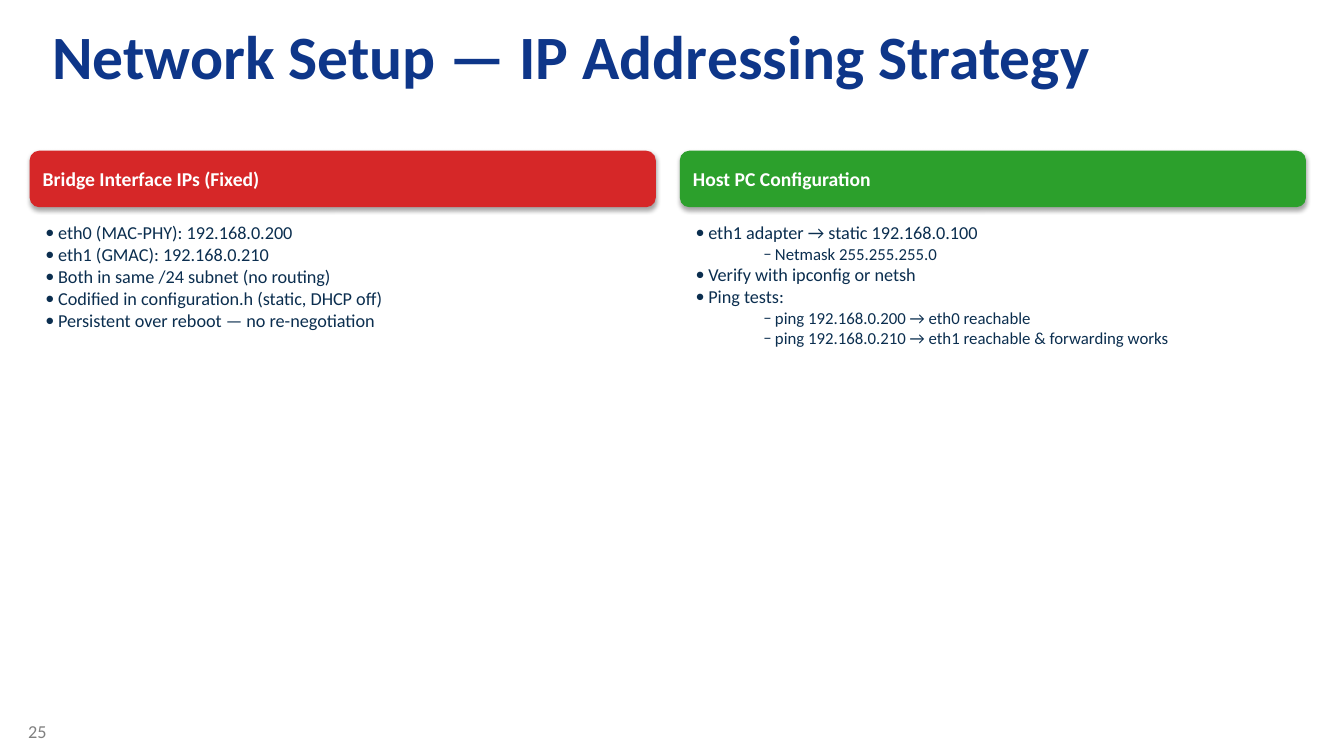
from lxml import etree
from pptx import Presentation
from pptx.dml.color import RGBColor
from pptx.enum import shapes, text
from pptx.oxml import ns
from pptx.util import Cm, Pt

SLIDE_WIDTH, SLIDE_HEIGHT = 33.86, 19.05
COLUMN_LEFT, COLUMN_PITCH = 0.76, 16.38
LIST_INSET = 0.13

# Marker, size in points, text indent and hanging indent in cm for each level
LEVELS = [("•", 13, 0.32, 0.32), ("–", 12, 2.0, 0.29)]

COLUMNS = [
    ("Bridge Interface IPs (Fixed)", "D62728", [
        (0, "eth0 (MAC-PHY): 192.168.0.200"),
        (0, "eth1 (GMAC): 192.168.0.210"),
        (0, "Both in same /24 subnet (no routing)"),
        (0, "Codified in configuration.h (static, DHCP off)"),
        (0, "Persistent over reboot — no re-negotiation"),
    ]),
    ("Host PC Configuration", "2CA02C", [
        (0, "eth1 adapter → static 192.168.0.100"),
        (1, "Netmask 255.255.255.0"),
        (0, "Verify with ipconfig or netsh"),
        (0, "Ping tests:"),
        (1, "ping 192.168.0.200 → eth0 reachable"),
        (1, "ping 192.168.0.210 → eth1 reachable & forwarding works"),
    ]),
]


def rgb(hex_code):
    return RGBColor.from_string(hex_code)


def add_xml(parent, tag, **attributes):
    return etree.SubElement(parent, ns.qn(tag), attributes)


class SlideBuilder:
    """Holds the text style and the slide being filled."""

    font_name = "Calibri"
    title_color = "0E3689"
    body_color = "0B2E4F"
    number_color = "808080"

    def __init__(self, slide):
        self.slide = slide

    def place(self, item, left, top, width, height):
        item.left, item.top = Cm(left), Cm(top)
        item.width, item.height = Cm(width), Cm(height)

    def format_runs(self, paragraph, size, color, bold=False):
        paragraph.alignment = text.PP_ALIGN.LEFT
        for run in paragraph.runs:
            run.font.name = self.font_name
            run.font.size = Pt(size)
            run.font.bold = bold
            run.font.color.rgb = rgb(color)

    def title(self, wording):
        heading = self.slide.shapes.title
        self.place(heading, 0.99, 0.28, 31.67, 4.45)
        frame = heading.text_frame
        frame.text = wording
        frame.auto_size = text.MSO_AUTO_SIZE.NONE
        frame.vertical_anchor = text.MSO_ANCHOR.TOP
        frame.margin_left = frame.margin_right = Cm(0.33)
        frame.margin_top = frame.margin_bottom = Cm(0.18)
        self.format_runs(frame.paragraphs[0], 44, self.title_color, bold=True)

    def banner(self, wording, left, color):
        bar = self.slide.shapes.add_shape(
            shapes.MSO_SHAPE.ROUNDED_RECTANGLE,
            Cm(left), Cm(3.81), Cm(15.75), Cm(1.4))
        bar.fill.solid()
        bar.fill.fore_color.rgb = rgb(color)
        bar.line.color.rgb = rgb(color)
        bar.line.width = Pt(0.75)
        self.soft_shadow(bar)
        frame = bar.text_frame
        frame.text = wording
        frame.vertical_anchor = text.MSO_ANCHOR.MIDDLE
        self.format_runs(frame.paragraphs[0], 14, "FFFFFF", bold=True)

    def soft_shadow(self, item):
        """Give the item a faint shadow falling straight down."""
        item.shadow.inherit = False
        effects = item.element.spPr.find(ns.qn("a:effectLst"))
        shadow = add_xml(effects, "a:outerShdw", blurRad=str(Pt(3.1)),
                         dist=str(Pt(1.8)), dir="5400000", rotWithShape="0")
        shade = add_xml(shadow, "a:srgbClr", val="000000")
        add_xml(shade, "a:alpha", val="35000")

    def bullet_list(self, placeholder, left, entries):
        self.place(placeholder, left, 5.46, 15.49, 9.4)
        frame = placeholder.text_frame
        frame.text = "\n".join(wording for _, wording in entries)
        frame.auto_size = text.MSO_AUTO_SIZE.NONE
        for paragraph, (level, _) in zip(frame.paragraphs, entries):
            marker, size, indent, hanging = LEVELS[level]
            paragraph.level = level
            paragraph.space_before = Pt(0)
            properties = paragraph._p.get_or_add_pPr()
            properties.set("marL", str(Cm(indent)))
            properties.set("indent", str(-Cm(hanging)))
            add_xml(properties, "a:buFont", typeface=self.font_name)
            add_xml(properties, "a:buChar", char=marker)
            self.format_runs(paragraph, size, self.body_color)

    def page_number(self, number):
        box = self.slide.shapes.add_textbox(Cm(0.46), Cm(18.03), Cm(1.5), Cm(1.02))
        box.text_frame.word_wrap = True
        box.text_frame.text = number
        self.format_runs(box.text_frame.paragraphs[0], 13, self.number_color)


def main():
    deck = Presentation()
    deck.slide_width, deck.slide_height = Cm(SLIDE_WIDTH), Cm(SLIDE_HEIGHT)
    two_content = deck.slide_layouts.get_by_name("Two Content")
    builder = SlideBuilder(deck.slides.add_slide(two_content))

    builder.title("Network Setup — IP Addressing Strategy")
    bodies = list(builder.slide.placeholders)[1:]
    for index, (heading, color, entries) in enumerate(COLUMNS):
        left = COLUMN_LEFT + index * COLUMN_PITCH
        builder.banner(heading, left, color)
        builder.bullet_list(bodies[index], left + LIST_INSET, entries)
    builder.page_number("25")
    deck.save("out.pptx")


if __name__ == "__main__":
    main()
